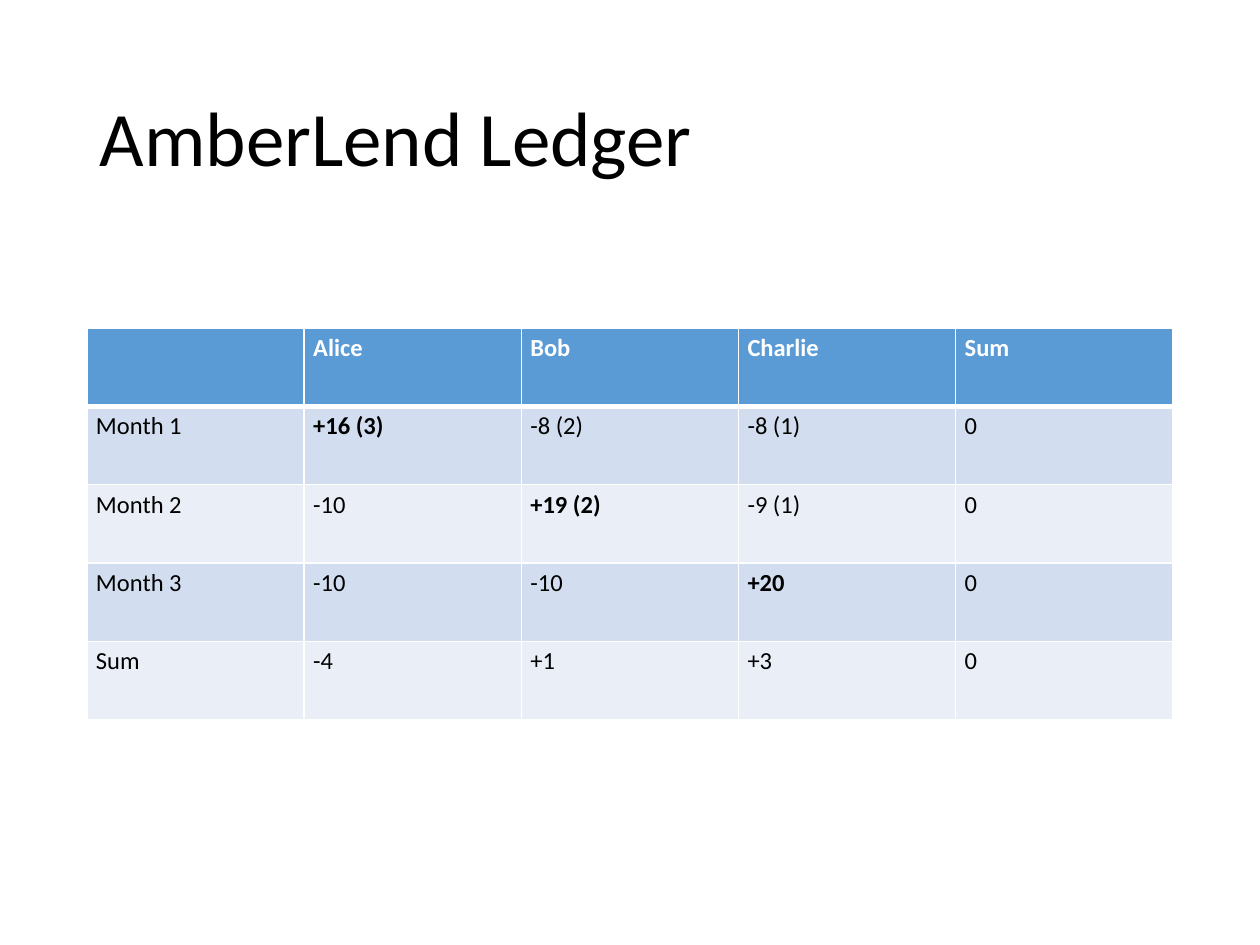
from dataclasses import dataclass

from lxml.etree import SubElement
from pptx import Presentation
from pptx.dml.color import RGBColor as RGB
from pptx.enum.text import MSO_ANCHOR as ANCHOR, PP_ALIGN as ALIGN
from pptx.oxml.ns import qn
from pptx.util import Emu, Pt

PX = 914400 / 126  # EMU in one px


@dataclass(frozen=True)
class Theme:
    font: str = "Calibri"
    title_size: int = 44
    cell_size: int = 14
    ink: str = "000000"
    paper: str = "FFFFFF"
    header: str = "5B9BD5"
    bands: tuple = ("D2DEEF", "EAEFF7")
    thin: int = 1
    thick: int = 3


THEME = Theme()

LEDGER = [
    ["", "Alice", "Bob", "Charlie", "Sum"],
    ["Month 1", "+16 (3)", "-8 (2)", "-8 (1)", "0"],
    ["Month 2", "-10", "+19 (2)", "-9 (1)", "0"],
    ["Month 3", "-10", "-10", "+20", "0"],
    ["Sum", "-4", "+1", "+3", "0"],
]
LENDER_COUNT = 3


def px(n):
    return Emu(round(n * PX))


def style(p, size, color, bold=False):
    f = p.font
    f.name, f.size, f.bold = THEME.font, Pt(size), bold
    f.color.rgb = RGB.from_string(color)


def set_borders(cell, top, bottom):
    """Draw all four cell borders; top and bottom widths are in points."""
    tc_pr = cell._tc.get_or_add_tcPr()
    widths = {"L": THEME.thin, "R": THEME.thin, "T": top, "B": bottom}
    for i, (side, width) in enumerate(widths.items()):
        ln = SubElement(tc_pr, qn(f"a:ln{side}"), w=str(Pt(width)))
        fill = SubElement(ln, qn("a:solidFill"))
        SubElement(fill, qn("a:srgbClr"), val=THEME.paper)
        tc_pr.insert(i, ln)  # borders come before the fill


def add_title(slide, box, text):
    sp = slide.shapes.title
    sp.left, sp.top, sp.width, sp.height = map(px, box)
    tf = sp.text_frame
    tf.text = text
    tf.word_wrap = True
    tf.vertical_anchor = ANCHOR.MIDDLE
    p = tf.paragraphs[0]
    p.alignment, p.line_spacing = ALIGN.LEFT, 0.9
    style(p, THEME.title_size, THEME.ink)


def fill_cell(cell, row, col, text):
    is_header = row == 0
    # Each month's payout lies on the diagonal
    is_payout = row == col and 1 <= row <= LENDER_COUNT
    cell.text = text
    cell.margin_left = cell.margin_right = px(9)
    cell.margin_top = cell.margin_bottom = px(5)
    cell.fill.solid()
    color = THEME.header if is_header else THEME.bands[(row - 1) % 2]
    cell.fill.fore_color.rgb = RGB.from_string(color)
    style(cell.text_frame.paragraphs[0], THEME.cell_size,
          THEME.paper if is_header else THEME.ink, is_header or is_payout)
    # The rule under the header is shared with the first month
    set_borders(cell,
                top=THEME.thick if row == 1 else THEME.thin,
                bottom=THEME.thick if is_header else THEME.thin)


def add_ledger(slide, box, rows):
    x, y, w, h = box
    n_rows, n_cols = len(rows), len(rows[0])
    table = slide.shapes.add_table(n_rows, n_cols, *map(px, box)).table
    for column in table.columns:
        column.width = px(w / n_cols)
    for row in table.rows:
        row.height = px(h / n_rows)
    for r, values in enumerate(rows):
        for c, text in enumerate(values):
            fill_cell(table.cell(r, c), r, c, text)


def main():
    prs = Presentation()
    prs.slide_width, prs.slide_height = px(1260), px(945)
    slide = prs.slides.add_slide(prs.slide_layouts[5])  # Title Only

    # Heading
    add_title(slide, (87, 50, 1086, 183), "AmberLend Ledger")
    # Monthly balances
    add_ledger(slide, (87, 328, 1086, 392), LEDGER)

    prs.save("out.pptx")


if __name__ == "__main__":
    main()
